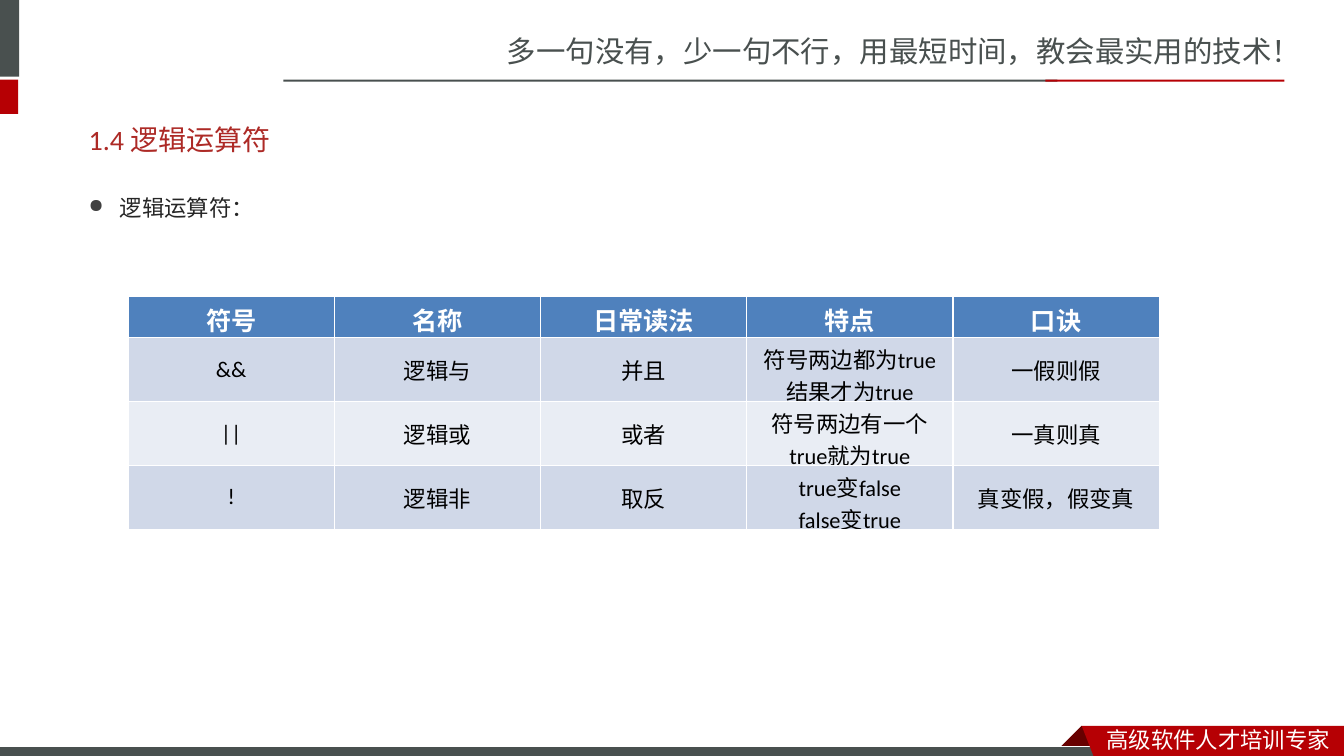
from lxml import etree
from pptx import Presentation
from pptx.dml.color import RGBColor
from pptx.enum.text import MSO_ANCHOR, PP_ALIGN
from pptx.enum.shapes import MSO_SHAPE
from pptx.oxml.ns import qn
from pptx.util import Inches, Pt

RECTANGLE = MSO_SHAPE.RECTANGLE
MIDDLE = MSO_ANCHOR.MIDDLE
LEFT, CENTER = PP_ALIGN.LEFT, PP_ALIGN.CENTER
GREY, RED, DARK_RED, WHITE = "49504F", "B60004", "680000", "FFFFFF"
CJK = "Noto Sans CJK SC"

deck = Presentation()
deck.slide_width, deck.slide_height = Inches(13.33), Inches(7.5)
page = deck.slides.add_slide(deck.slide_layouts[5])
shapes = page.shapes


def share(*percents):
    """Turn alternating x, y percentages of the slide into lengths."""
    sides = (deck.slide_width, deck.slide_height)
    return [round(sides[i % 2] * value / 100) for i, value in enumerate(percents)]


def style(para, size, name, color, align=LEFT, bold=False):
    para.alignment = align
    font = para.font
    font.size, font.name, font.bold = Pt(size), name, bold
    font.color.rgb = RGBColor.from_string(color)


# Side bars and header rule
bars = [
    (GREY, -0.45, 0, 1.88, 10.13),
    (RED, -0.45, 10.53, 1.8, 4.53),
    (GREY, 21.08, 10.53, 57.6, 0.27),
    (RED, 77.78, 10.53, 17.78, 0.27),
]
for color, *spot in bars:
    bar = shapes.add_shape(RECTANGLE, *share(*spot))
    bar.shadow.inherit = False
    bar.fill.solid()
    bar.fill.fore_color.rgb = RGBColor.from_string(color)
    bar.line.fill.background()

# Footer: ribbon fold, grey strip, ribbon
fold_points = [(80.48, 96), (82.13, 98.93), (82.05, 99.07), (78.9, 99.07), (78.83, 98.93)]
strip_points = [(-0.08, 98.8), (82.42, 98.8), (82.42, 100.4), (-0.08, 100.4)]
ribbon_points = [(80.48, 96), (100, 96), (100, 100.53), (81.45, 100.4)]
for color, points in ((DARK_RED, fold_points), (GREY, strip_points), (RED, ribbon_points)):
    if points is strip_points:
        (left, top), (right, bottom) = points[0], points[2]
        piece = shapes.add_shape(RECTANGLE, *share(left, top, right - left, bottom - top))
        piece.line.color.rgb = RGBColor.from_string(WHITE)
        piece.line.width = Pt(0.75)
    else:
        corners = [share(*point) for point in points]
        outline = shapes.build_freeform(*corners[0])
        outline.add_line_segments(corners[1:])
        piece = outline.convert_to_shape()
        piece.line.fill.background()
    piece.shadow.inherit = False
    piece.fill.solid()
    piece.fill.fore_color.rgb = RGBColor.from_string(color)

# Slogan, ribbon text and bullet line
texts = [
    ("多一句没有，少一句不行，用最短时间，教会最实用的技术！", 21, CJK, GREY, (36.98, 3.73, 63.07, 6.27)),
    ("高级软件人才培训专家", 16, CJK, WHITE, (81.6, 95.33, 18.38, 4.93)),
    ("逻辑运算符：", 16, "Lato", "262626", (5.85, 23.2, 87.9, 66.4)),
]
for text, size, name, color, spot in texts:
    box = shapes.add_textbox(*share(*spot))
    box.text_frame.word_wrap = True
    para = box.text_frame.paragraphs[0]
    para.text = text
    style(para, size, name, color)

# The last of these lines carries the bullet
para.line_spacing = 1.5
para.space_before = Pt(3.2)
props = para._p.get_or_add_pPr()
props.set("marL", str(Inches(0.31)))
props.set("indent", str(-Inches(0.31)))
bullet_color = etree.Element(qn("a:buClr"))
etree.SubElement(bullet_color, qn("a:srgbClr"), val="404040")
bullet_size = etree.Element(qn("a:buSzPct"), val="85000")
bullet_mark = etree.Element(qn("a:buChar"), char="●")
font_defaults = props.find(qn("a:defRPr"))
for part in (bullet_color, bullet_size, bullet_mark):
    font_defaults.addprevious(part)

# Title
title = shapes.title
title.left, title.top, title.width, title.height = share(5.85, 14.67, 88.13, 7.6)
title.text_frame.text = "1.4 逻辑运算符"
title.text_frame.vertical_anchor = MIDDLE
style(title.text_frame.paragraphs[0], 20, "Calibri", "AD2A26")

# Operator table
rows = [
    ("符号", "名称", "日常读法", "特点", "口诀"),
    ("&&", "逻辑与", "并且", "符号两边都为true结果才为true", "一假则假"),
    ("||", "逻辑或", "或者", "符号两边有一个true就为true", "一真则真"),
    ("!", "逻辑非", "取反", "true变false\nfalse变true", "真变假，假变真"),
]
frame = shapes.add_table(len(rows), len(rows[0]), *share(9.53, 39.2, 76.73, 21.87))
table = frame.table
for r, values in enumerate(rows):
    header = r == 0
    fill = "4F81BD" if header else ("E9EDF4", "D0D8E8")[r % 2]
    for c, value in enumerate(values):
        cell = table.cell(r, c)
        cell.text = value
        cell.vertical_anchor = MIDDLE
        cell.fill.solid()
        cell.fill.fore_color.rgb = RGBColor.from_string(fill)
        for para in cell.text_frame.paragraphs:
            style(para, 18 if header else 16, "Calibri", WHITE if header else "000000", CENTER, header)

deck.save("out.pptx")
